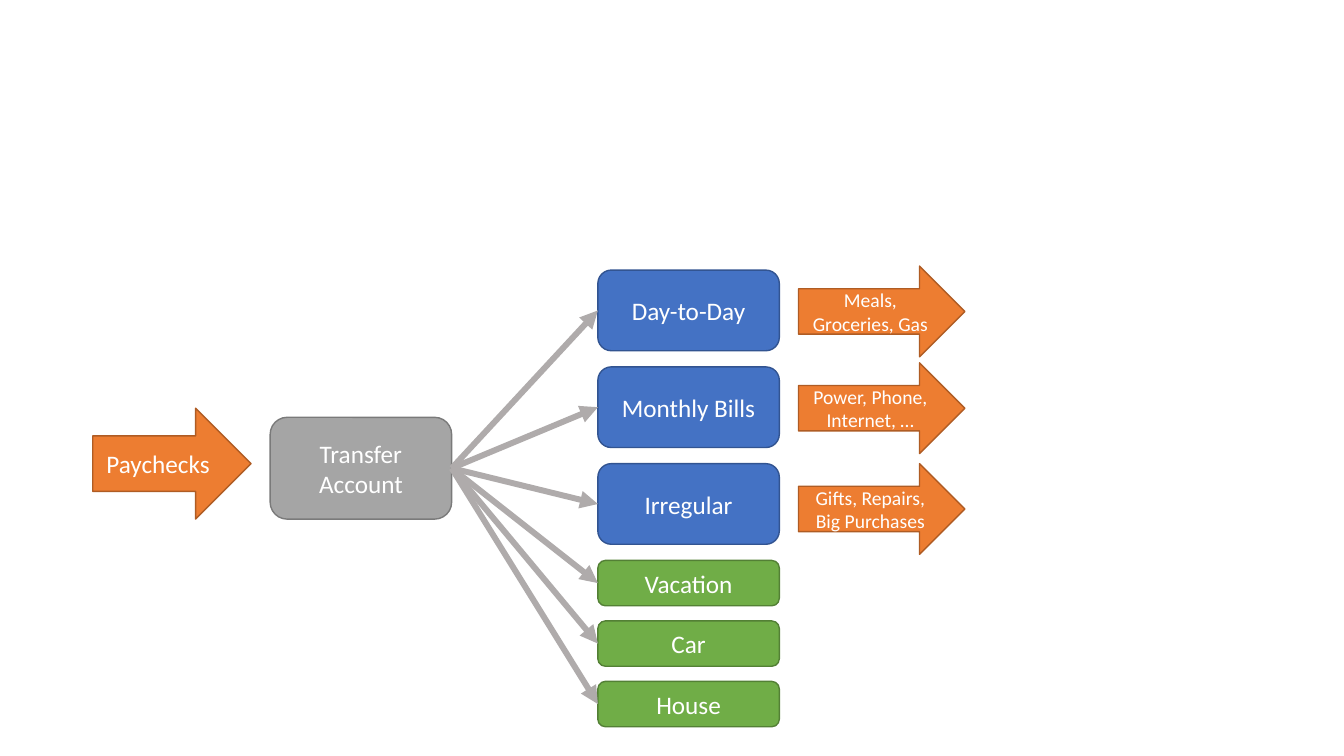
import pptx
import pptx.util
import pptx.dml.color
import pptx.enum.shapes
import pptx.enum.text
import pptx.oxml.ns
import lxml.etree

Inches, Pt = pptx.util.Inches, pptx.util.Pt
RGBColor = pptx.dml.color.RGBColor
MSO_SHAPE = pptx.enum.shapes.MSO_SHAPE
qn = pptx.oxml.ns.qn

WHITE = RGBColor(0xFF, 0xFF, 0xFF)
CONNECTOR_GRAY = RGBColor(0xAF, 0xAB, 0xAB)
ORANGE = RGBColor(0xED, 0x7D, 0x31), RGBColor(0xAF, 0x5C, 0x24)
GRAY = RGBColor(0xA5, 0xA5, 0xA5), RGBColor(0x7A, 0x7A, 0x7A)
BLUE = RGBColor(0x44, 0x72, 0xC4), RGBColor(0x32, 0x54, 0x91)
GREEN = RGBColor(0x70, 0xAD, 0x47), RGBColor(0x53, 0x80, 0x35)

INCOME = "Paychecks"
HUB = "Transfer Account"
ACCOUNT_GROUPS = [
    (["Day-to-Day", "Monthly Bills", "Irregular"], BLUE, 0.8, 0.16),
    (["Vacation", "Car", "House"], GREEN, 0.45, 0.15),
]
EXPENSES = [
    ("Meals, Groceries, Gas", 2.64),
    ("Power, Phone, Internet, …", 3.6),
    ("Gifts, Repairs, Big Purchases", 4.6),
]
ACCOUNT_LEFT, ACCOUNT_TOP, ACCOUNT_WIDTH = 5.93, 2.68, 1.8
LEFT_SIDE, RIGHT_SIDE = 1, 3


def add_block(s, kind, box, text, colors, size=18):
    sp = s.shapes.add_shape(kind, *[Inches(v) for v in box])
    sp.shadow.inherit = False
    sp.fill.solid()
    sp.fill.fore_color.rgb, sp.line.color.rgb = colors
    sp.line.width = Pt(1)
    tf = sp.text_frame
    tf.word_wrap = True
    tf.vertical_anchor = pptx.enum.text.MSO_ANCHOR.MIDDLE
    p = tf.paragraphs[0]
    p.alignment = pptx.enum.text.PP_ALIGN.CENTER
    r = p.add_run()
    r.text = text
    r.font.name = "Calibri"
    r.font.size = Pt(size)
    r.font.color.rgb = WHITE
    return sp


def add_arrow(s, start, end):
    c = s.shapes.add_connector(pptx.enum.shapes.MSO_CONNECTOR.STRAIGHT, 0, 0, 0, 0)
    c.begin_connect(start, RIGHT_SIDE)
    c.end_connect(end, LEFT_SIDE)
    c.line.color.rgb = CONNECTOR_GRAY
    c.line.width = Pt(4.25)
    spPr = c.line._get_or_add_ln().getparent()
    lxml.etree.SubElement(spPr.find(qn("a:ln")), qn("a:tailEnd"), type="triangle")
    lxml.etree.SubElement(spPr, qn("a:effectLst"))


prs = pptx.Presentation()
prs.slide_width, prs.slide_height = Inches(13.33), Inches(7.5)
s = prs.slides.add_slide(prs.slide_layouts[6])

add_block(s, MSO_SHAPE.RIGHT_ARROW, (0.92, 4.05, 1.57, 1.1), INCOME, ORANGE)
hub = add_block(s, MSO_SHAPE.ROUNDED_RECTANGLE, (2.68, 4.14, 1.8, 1.01), HUB, GRAY)

accounts = []
top = ACCOUNT_TOP
for names, colors, height, gap in ACCOUNT_GROUPS:
    for name in names:
        box = ACCOUNT_LEFT, top, ACCOUNT_WIDTH, height
        accounts.append(add_block(s, MSO_SHAPE.ROUNDED_RECTANGLE, box, name, colors))
        top += height + gap

for text, arrow_top in EXPENSES:
    add_block(s, MSO_SHAPE.RIGHT_ARROW, (7.92, arrow_top, 1.65, 0.9), text, ORANGE, 14)

for account in accounts:
    add_arrow(s, hub, account)

prs.save("out.pptx")
